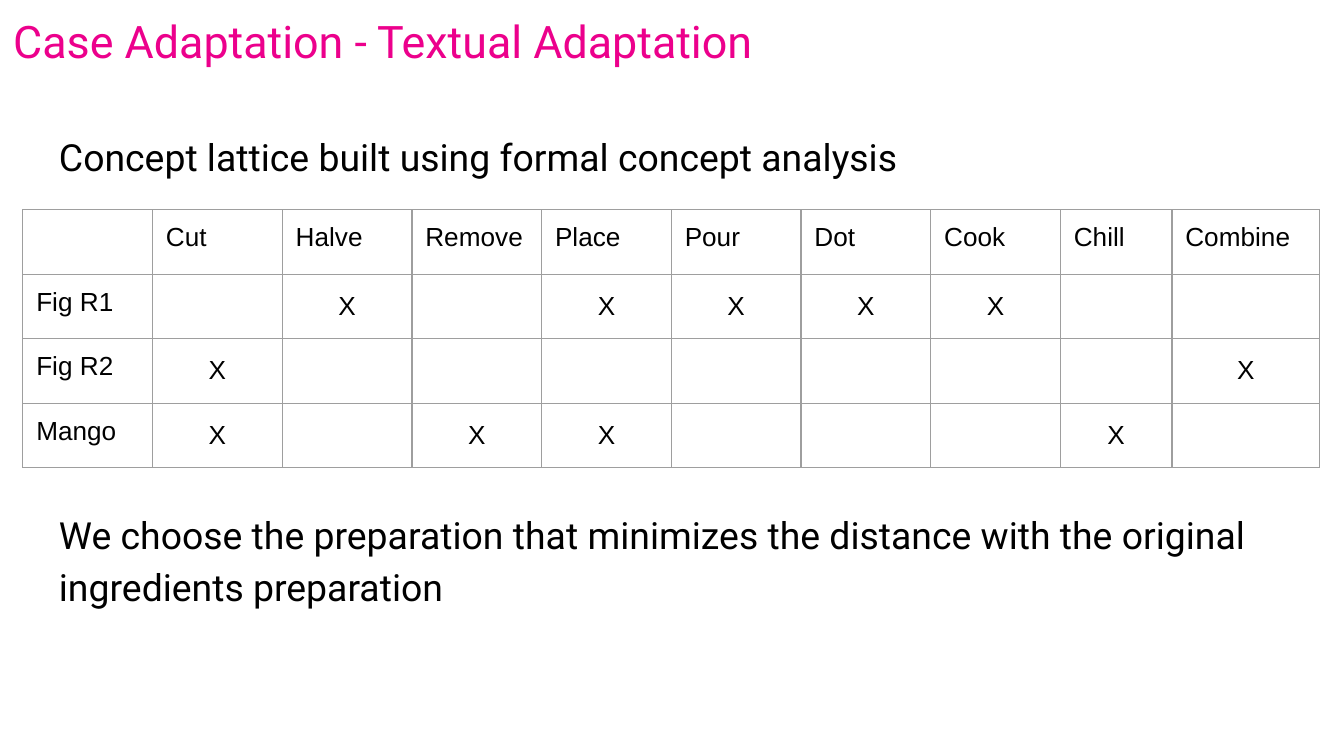
import dataclasses

import pptx
import pptx.dml.color
import pptx.enum.text
import pptx.oxml
import pptx.oxml.ns
import pptx.util

Inches = pptx.util.Inches
Pt = pptx.util.Pt


@dataclasses.dataclass(frozen=True)
class Theme:
    heading_font: str = "Roboto"
    table_font: str = "Arial"
    accent: str = "EC008C"
    ink: str = "000000"
    grid: str = "9E9E9E"
    title_size: int = 24
    body_size: int = 20
    table_size: int = 14
    grid_width: float = 0.75


THEME = Theme()
SLIDE_WIDTH = 10
SLIDE_HEIGHT = SLIDE_WIDTH * 9 / 16
TEXT_WIDTH = 9.32
INSET = 0.1

TABLE_LEFT, TABLE_TOP, TABLE_WIDTH = 0.17, 1.56, 9.65
ROW_HEIGHT = 0.48
CHILL_WIDTH, COMBINE_WIDTH = 0.83, 1.1

ACTIONS = ["Cut", "Halve", "Remove", "Place", "Pour", "Dot", "Cook", "Chill", "Combine"]
RECIPES = {
    "Fig R1": {"Halve", "Place", "Pour", "Dot", "Cook"},
    "Fig R2": {"Cut", "Combine"},
    "Mango": {"Cut", "Remove", "Place", "Chill"},
}


def format_runs(paragraph, font, size, color):
    for run in paragraph.runs:
        run.font.name = font
        run.font.size = Pt(size)
        run.font.color.rgb = pptx.dml.color.RGBColor.from_string(color)


def set_insets(box):
    """Give a text frame or a table cell the same margin on every side."""
    box.margin_left = box.margin_right = Inches(INSET)
    box.margin_top = box.margin_bottom = Inches(INSET)


def add_text(slide, left, top, height, lines, size, color):
    box = slide.shapes.add_textbox(
        Inches(left), Inches(top), Inches(TEXT_WIDTH), Inches(height))
    frame = box.text_frame
    frame.word_wrap = True
    set_insets(frame)
    frame.text = "\n".join(lines)
    for paragraph in frame.paragraphs:
        format_runs(paragraph, THEME.heading_font, size, color)
    return frame


def draw_borders(cell):
    properties = cell._tc.get_or_add_tcPr()
    for index, side in enumerate(("lnL", "lnR", "lnT", "lnB")):
        line = pptx.oxml.parse_xml(
            f'<a:{side} {pptx.oxml.ns.nsdecls("a")} w="{Pt(THEME.grid_width)}">'
            f'<a:solidFill><a:srgbClr val="{THEME.grid}"/></a:solidFill></a:{side}>')
        properties.insert(index, line)


def size_empty_line(paragraph):
    """Keep a cell without text from growing its row."""
    paragraph._p.append(pptx.oxml.parse_xml(
        f'<a:endParaRPr {pptx.oxml.ns.nsdecls("a")} sz="{THEME.table_size * 100}"/>'))


def fill_cell(cell, text, is_mark):
    cell.fill.background()
    draw_borders(cell)
    set_insets(cell)
    paragraph = cell.text_frame.paragraphs[0]
    if not text:
        size_empty_line(paragraph)
        return
    paragraph.text = text
    format_runs(paragraph, THEME.table_font, THEME.table_size, THEME.ink)
    if is_mark:
        paragraph.alignment = pptx.enum.text.PP_ALIGN.CENTER
        cell.vertical_anchor = pptx.enum.text.MSO_ANCHOR.MIDDLE


def add_concept_table(slide):
    rows = [["", *ACTIONS]]
    for recipe, used in RECIPES.items():
        rows.append([recipe, *("X" if action in used else "" for action in ACTIONS)])

    table = slide.shapes.add_table(
        len(rows), len(rows[0]), Inches(TABLE_LEFT), Inches(TABLE_TOP),
        Inches(TABLE_WIDTH), Inches(ROW_HEIGHT * len(rows))).table
    table.first_row = table.horz_banding = False

    regular_count = len(rows[0]) - 2
    regular_width = (TABLE_WIDTH - CHILL_WIDTH - COMBINE_WIDTH) / regular_count
    widths = [regular_width] * regular_count + [CHILL_WIDTH, COMBINE_WIDTH]
    for column, width in zip(table.columns, widths):
        column.width = Inches(width)

    for row_index, row in enumerate(rows):
        table.rows[row_index].height = Inches(ROW_HEIGHT)
        for column_index, text in enumerate(row):
            is_mark = row_index > 0 and column_index > 0
            fill_cell(table.cell(row_index, column_index), text, is_mark)


def main():
    presentation = pptx.Presentation()
    presentation.slide_width = Inches(SLIDE_WIDTH)
    presentation.slide_height = Inches(SLIDE_HEIGHT)
    slide = presentation.slides.add_slide(presentation.slide_layouts[6])

    add_text(slide, 0, 0, 0.63, ["Case Adaptation - Textual Adaptation"],
             THEME.title_size, THEME.accent)
    explanation = add_text(
        slide, 0.34, 0.85, 4.46,
        ["Concept lattice built using formal concept analysis",
         "We choose the preparation that minimizes the distance with the original "
         "ingredients preparation"],
        THEME.body_size, THEME.ink)
    for paragraph in explanation.paragraphs:
        paragraph.line_spacing = 1.15
    # The second statement starts below the table.
    explanation.paragraphs[1].space_before = Pt(175)

    add_concept_table(slide)
    presentation.save("out.pptx")


if __name__ == "__main__":
    main()
